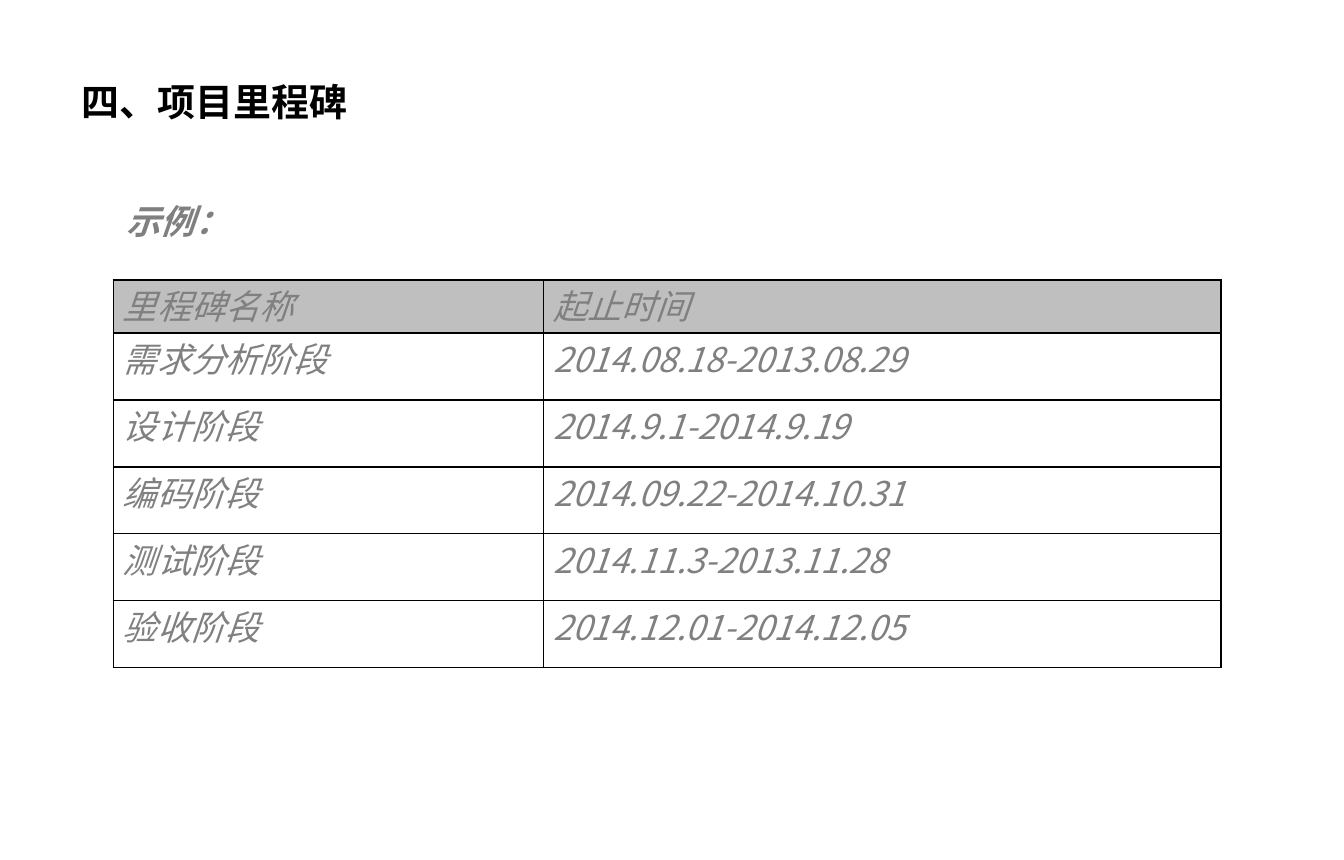
from lxml.etree import SubElement
from pptx import Presentation
from pptx.dml.color import RGBColor
from pptx.enum.text import MSO_ANCHOR, MSO_AUTO_SIZE, PP_ALIGN
from pptx.oxml import parse_xml
from pptx.oxml.ns import nsdecls, qn
from pptx.util import Pt

PX = 9144  # 100 px to the inch
COLORS = {"title": "000000", "text": "808080", "header": "BFBFBF", "border": "000000"}
CJK = "Noto Sans CJK SC"
MILESTONES = [
    ("里程碑名称", "起止时间"),
    ("需求分析阶段", "2014.08.18-2013.08.29"),
    ("设计阶段", "2014.9.1-2014.9.19"),
    ("编码阶段", "2014.09.22-2014.10.31"),
    ("测试阶段", "2014.11.3-2013.11.28"),
    ("验收阶段", "2014.12.01-2014.12.05"),
]
COL_WIDTHS = (315, 496)
HEADER_H, ROW_H = 39, 49


def format_text(p, size, color, latin, bold=False, italic=False):
    """Format the paragraph's only run, with the CJK font for Chinese text."""
    font = p.runs[0].font
    font.size, font.bold, font.italic = Pt(size), bold, italic
    font.name = latin
    font.color.rgb = RGBColor.from_string(COLORS[color])
    SubElement(p.runs[0]._r.get_or_add_rPr(), qn("a:ea")).set("typeface", CJK)


def set_borders(cell):
    tcPr = cell._tc.get_or_add_tcPr()
    for i, side in enumerate(("lnL", "lnR", "lnT", "lnB")):
        tcPr.insert(i, parse_xml(
            f'<a:{side} {nsdecls("a")} w="{Pt(1)}"><a:solidFill>'
            f'<a:srgbClr val="{COLORS["border"]}"/></a:solidFill></a:{side}>'))


prs = Presentation()
prs.slide_width, prs.slide_height = 984 * PX, 630 * PX
s = prs.slides.add_slide(prs.slide_layouts[5])

title = s.shapes.title
title.left, title.top, title.width, title.height = 50 * PX, 56 * PX, 900 * PX, 79 * PX
tf = title.text_frame
tf.text = "四、项目里程碑"
tf.vertical_anchor = MSO_ANCHOR.TOP
p = tf.paragraphs[0]
p.alignment = PP_ALIGN.LEFT
p.line_spacing = 0.9
format_text(p, 20, "title", CJK, bold=True)

table_h = HEADER_H + ROW_H * (len(MILESTONES) - 1)
table = s.shapes.add_table(len(MILESTONES), len(COL_WIDTHS), 83 * PX, 205 * PX,
                           sum(COL_WIDTHS) * PX, table_h * PX).table
table.horz_banding = False
table.first_row = False
for col, width in zip(table.columns, COL_WIDTHS):
    col.width = width * PX

for i, texts in enumerate(MILESTONES):
    table.rows[i].height = (ROW_H if i else HEADER_H) * PX
    for j, text in enumerate(texts):
        cell = table.cell(i, j)
        cell.margin_left = cell.margin_right = 7 * PX
        cell.margin_top = cell.margin_bottom = 0
        if i == 0:
            cell.fill.solid()
            cell.fill.fore_color.rgb = RGBColor.from_string(COLORS["header"])
        else:
            cell.fill.background()
        set_borders(cell)
        p = cell.text_frame.paragraphs[0]
        p.text = text
        p.space_before = p.space_after = Pt(3)
        format_text(p, 18, "text", CJK if i and j else "Times New Roman", italic=True)

example = s.shapes.add_textbox(83 * PX, 142 * PX, 197 * PX, 40 * PX)
tf = example.text_frame
tf.text = "示例："
tf.word_wrap = True
tf.auto_size = MSO_AUTO_SIZE.SHAPE_TO_FIT_TEXT
tf.vertical_anchor = MSO_ANCHOR.MIDDLE
format_text(tf.paragraphs[0], 18, "text", "Arial", bold=True, italic=True)

prs.save("out.pptx")
